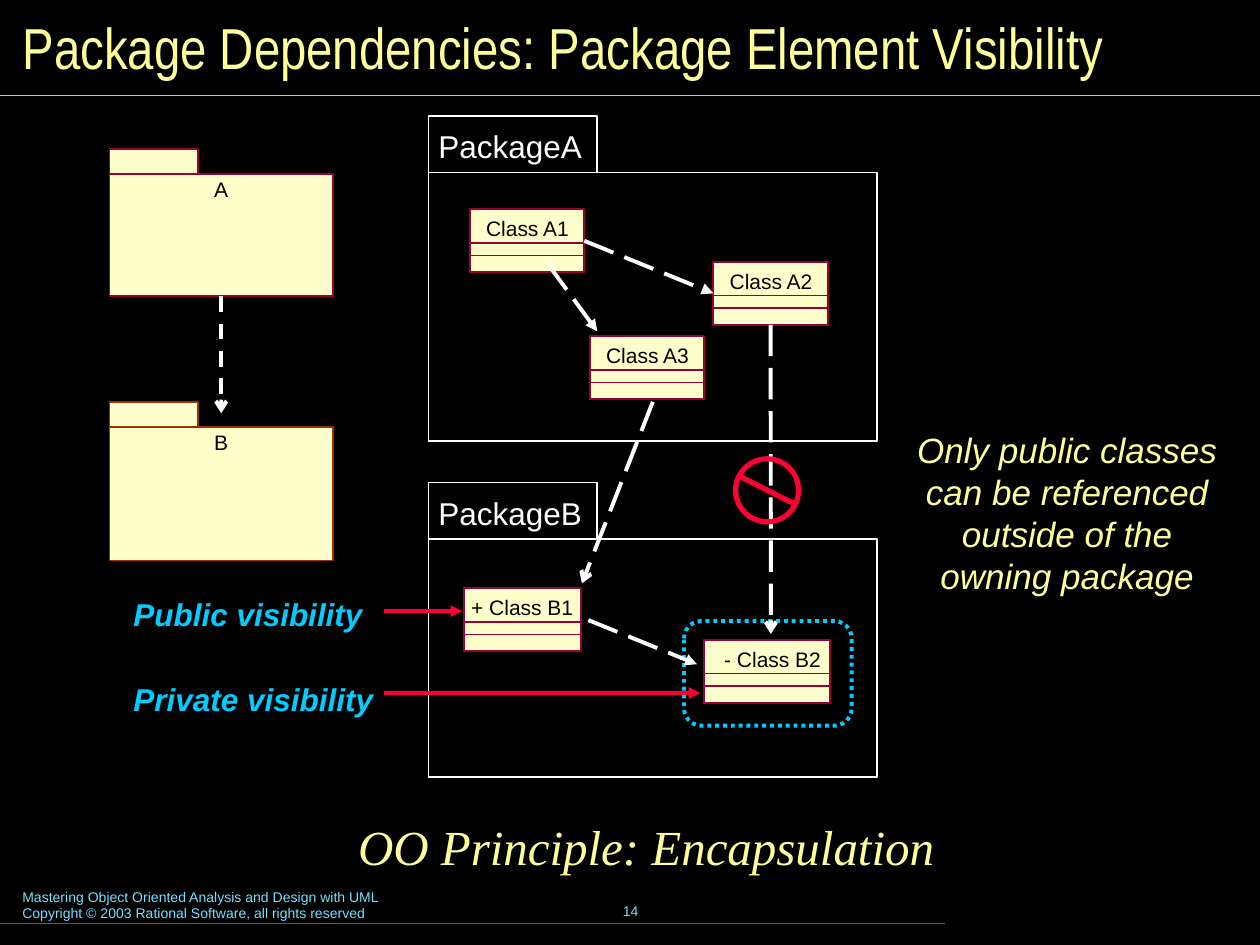
from dataclasses import dataclass

from lxml.etree import SubElement
from pptx import Presentation
from pptx.dml.color import RGBColor
from pptx.enum.dml import MSO_LINE as Dash
from pptx.enum.shapes import MSO_CONNECTOR as Link, MSO_SHAPE as Shape
from pptx.enum.text import MSO_ANCHOR as Anchor, MSO_AUTO_SIZE as AutoSize, PP_ALIGN as Align
from pptx.oxml.ns import qn
from pptx.util import Cm, Pt


@dataclass(frozen=True)
class Theme:
    background: str = "000000"
    white: str = "FFFFFF"
    ink: str = "000000"
    heading: str = "FFFF99"
    paper: str = "FFFFCC"
    maroon: str = "990033"
    brown: str = "993300"
    red: str = "FF0033"
    cyan: str = "00CCFF"
    pale_cyan: str = "73E1FF"
    teal: str = "007E9F"
    sans: str = "Arial"
    narrow: str = "Arial Narrow"
    serif: str = "Times New Roman"
    title_size: float = 33
    principle_size: float = 28
    note_size: float = 20
    label_size: float = 18
    class_size: float = 12
    footer_size: float = 8
    hairline: float = 0.75
    outline: float = 1
    arrow: float = 2.25
    sign: float = 3


@dataclass(frozen=True)
class Box:
    left: float
    top: float
    width: float
    height: float

    def inside(self, dx, dy, width, height):
        return Box(self.left + dx, self.top + dy, width, height)

    def point(self, dx, dy):
        return Cm(self.left + dx), Cm(self.top + dy)

    def lengths(self):
        return Cm(self.left), Cm(self.top), Cm(self.width), Cm(self.height)


THEME = Theme()


def write(frame, text, size, color, font=THEME.sans, align=Align.LEFT,
          anchor=Anchor.TOP, bold=False, italic=False):
    frame.text = text
    frame.word_wrap = True
    frame.auto_size = AutoSize.NONE
    frame.vertical_anchor = anchor
    for paragraph in frame.paragraphs:
        paragraph.alignment = align
        for run in paragraph.runs:
            run.font.size = Pt(size)
            run.font.name = font
            run.font.bold = bold
            run.font.italic = italic
            run.font.color.rgb = RGBColor.from_string(color)


def add_text(shapes, box, text, size, color, inset=True, **style):
    frame = shapes.add_textbox(*box.lengths()).text_frame
    if not inset:
        frame.margin_left = frame.margin_right = 0
        frame.margin_top = frame.margin_bottom = 0
    write(frame, text, size, color, **style)


def add_outline(shapes, box, color, kind=Shape.RECTANGLE, fill=None, width=THEME.outline):
    outline = shapes.add_shape(kind, *box.lengths())
    outline.shadow.inherit = False
    if fill:
        outline.fill.solid()
        outline.fill.fore_color.rgb = RGBColor.from_string(fill)
    else:
        outline.fill.background()
    outline.line.color.rgb = RGBColor.from_string(color)
    outline.line.width = Pt(width)
    return outline


def add_line(shapes, start, end, color, width, dash=None, head=None):
    line = shapes.add_connector(Link.STRAIGHT, *start, *end)
    line.line.color.rgb = RGBColor.from_string(color)
    line.line.width = Pt(width)
    if dash:
        line.line.dash_style = dash
    properties = line._element.spPr
    if head:
        SubElement(properties.find(qn("a:ln")), qn("a:tailEnd"), type=head)
    SubElement(properties, qn("a:effectLst"))
    return line


def add_dependency(shapes, start, end, head="triangle", dash=Dash.LONG_DASH):
    return add_line(shapes, start, end, THEME.white, THEME.arrow, dash, head)


def header(slide, box):
    title = slide.shapes.title
    title.left, title.top, title.width, title.height = box.inside(0.2, 0.2, 25, 1.47).lengths()
    write(title.text_frame, "Package Dependencies: Package Element Visibility",
          THEME.title_size, THEME.heading, font=THEME.narrow, anchor=Anchor.MIDDLE)
    add_line(slide.shapes, box.point(0, box.height), box.point(box.width, box.height),
             THEME.pale_cyan, THEME.hairline)


def footer(shapes, box):
    add_text(shapes, box.inside(0.2, 0.05, 12.95, 0.94),
             "Mastering Object Oriented Analysis and Design with UML\n"
             "Copyright © 2003 Rational Software, all rights reserved",
             THEME.footer_size, THEME.pale_cyan)
    add_text(shapes, box.inside(8.69, 0, 8.05, 1.27), "14", THEME.footer_size,
             THEME.pale_cyan, align=Align.CENTER, anchor=Anchor.MIDDLE)
    add_line(shapes, box.point(0, 0.89), box.point(19.05, 0.89), THEME.teal, THEME.hairline)


def folder(shapes, box, tab_width, tab_height, color, fill=None):
    body = add_outline(shapes, box.inside(0, tab_height, box.width, box.height - tab_height),
                       color, fill=fill)
    add_outline(shapes, box.inside(0, 0, tab_width, tab_height), color, fill=fill)
    return body


def small_package(shapes, box, name, color):
    body = folder(shapes, box, 1.78, 0.51, color, THEME.paper)
    add_text(shapes, box.inside(0, 0.56, box.width, 0.51), name, THEME.class_size,
             THEME.ink, inset=False, align=Align.CENTER)
    return body


def package_overview(shapes, box):
    body_a = small_package(shapes, box.inside(0, 0, box.width, 2.97), "A", THEME.maroon)
    small_package(shapes, box.inside(0, 5.1, box.width, 3.2), "B", THEME.brown)
    middle = box.width / 2
    dependency = add_dependency(shapes, box.point(middle, 2.97), box.point(middle, 5.33),
                                "arrow", Dash.DASH)
    dependency.begin_connect(body_a, 2)


def class_box(shapes, box, name, indent):
    frame = add_outline(shapes, box, THEME.maroon, fill=THEME.paper)
    add_text(shapes, box.inside(indent, 0.13, box.width - indent, 0.51), name,
             THEME.class_size, THEME.ink, inset=False)
    for divider in (0.68, 0.93):
        add_outline(shapes, box.inside(0, divider, box.width, box.height - divider), THEME.maroon)
    return frame


def package(shapes, box, name, members):
    folder(shapes, box, 3.4, 1.14, THEME.white)
    add_text(shapes, box.inside(0.2, 0.22, 3.1, 0.76), name, THEME.label_size,
             THEME.white, inset=False)
    return {label: class_box(shapes, box.inside(dx, dy, width, 1.27), label, indent)
            for label, dx, dy, width, indent in members}


def prohibition_sign(shapes, box):
    sign = shapes.add_group_shape().shapes
    add_outline(sign, box, THEME.red, Shape.OVAL, width=THEME.sign)
    add_line(sign, box.point(0.1, 0.36), box.point(1.19, 0.91), THEME.red, THEME.sign)


def package_diagram(shapes, box):
    private_area = add_outline(shapes, box.inside(5.15, 10.18, 3.38, 2.11), THEME.cyan,
                               Shape.ROUNDED_RECTANGLE, width=THEME.arrow)
    private_area.line.dash_style = Dash.ROUND_DOT
    classes = package(shapes, box.inside(0, 0, box.width, 6.55), "PackageA", [
        ("Class A1", 0.83, 1.88, 2.31, 0.33),
        ("Class A2", 5.74, 2.94, 2.31, 0.33),
        ("Class A3", 3.25, 4.44, 2.31, 0.33),
    ])
    package(shapes, box.inside(0, 7.39, box.width, 5.94), "PackageB", [
        ("+ Class B1", 0.71, 2.13, 2.36, 0.15),
        ("- Class B2", 5.56, 3.17, 2.54, 0.4),
    ])
    a1_to_a2 = add_dependency(shapes, box.point(3.14, 2.52), box.point(5.74, 3.58))
    a1_to_a2.begin_connect(classes["Class A1"], 3)
    a1_to_a2.end_connect(classes["Class A2"], 1)
    add_dependency(shapes, box.point(2.41, 2.99), box.point(3.4, 4.34))
    add_dependency(shapes, box.point(4.52, 5.76), box.point(3.09, 9.42), "arrow")
    add_dependency(shapes, box.point(3.22, 10.16), box.point(5.41, 11.05))
    a2_to_b2 = add_dependency(shapes, box.point(6.9, 4.21), box.point(6.9, 10.44), "arrow")
    a2_to_b2.begin_connect(classes["Class A2"], 2)
    prohibition_sign(shapes, box.inside(6.19, 6.91, 1.27, 1.27))


def visibility_legend(shapes, box):
    for label, top, arrow_y, arrow_end in (("Public visibility", 0, 0.46, 6.88),
                                           ("Private visibility", 1.73, 2.11, 11.68)):
        add_text(shapes, box.inside(0, top, box.width, 1.02), label, THEME.label_size,
                 THEME.cyan, anchor=Anchor.MIDDLE, bold=True, italic=True)
        add_line(shapes, box.point(5.31, arrow_y), box.point(arrow_end, arrow_y),
                 THEME.red, THEME.arrow, head="triangle")


def takeaways(shapes, box):
    add_text(shapes, box.inside(13.66, 0, 6.81, 3.66),
             "Only public classes can be referenced outside of the owning package",
             THEME.note_size, THEME.heading, align=Align.CENTER,
             anchor=Anchor.MIDDLE, italic=True)
    add_text(shapes, box.inside(0, 7.8, 17.15, 1.5), "OO Principle: Encapsulation",
             THEME.principle_size, THEME.heading, font=THEME.serif,
             align=Align.CENTER, anchor=Anchor.MIDDLE, italic=True)


def main():
    deck = Presentation()
    deck.slide_width, deck.slide_height = Cm(25.4), Cm(19.05)
    slide = deck.slides.add_slide(deck.slide_layouts[5])
    slide.background.fill.solid()
    slide.background.fill.fore_color.rgb = RGBColor.from_string(THEME.background)
    header(slide, Box(0, 0, 25.4, 1.93))
    package_overview(slide.shapes, Box(2.21, 3, 4.5, 8.3))
    package_diagram(slide.shapes, Box(8.64, 2.34, 9.04, 13.33))
    visibility_legend(slide.shapes, Box(2.44, 11.86, 5.4, 2.75))
    takeaways(slide.shapes, Box(4.45, 8.51, 20.47, 9.3))
    footer(slide.shapes, Box(0, 17.73, 25.4, 1.32))
    deck.save("out.pptx")


if __name__ == "__main__":
    main()
